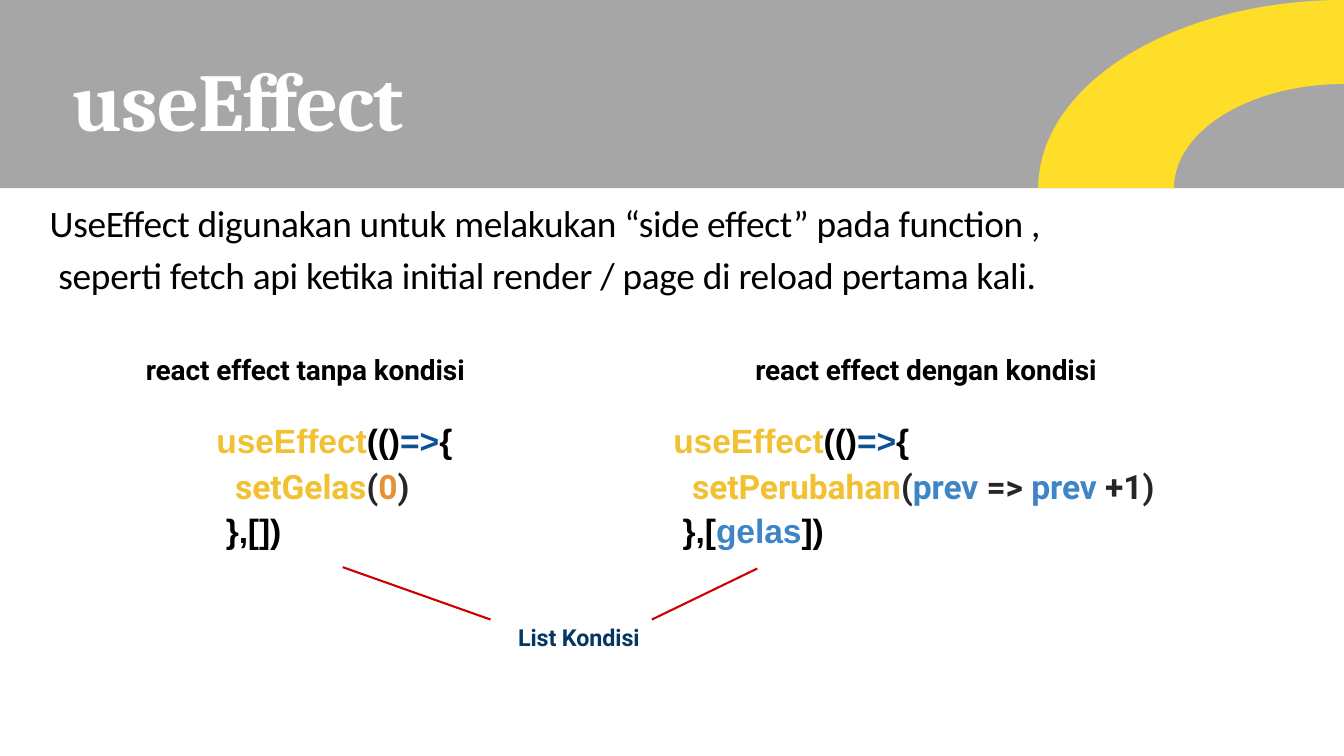
from dataclasses import dataclass
from math import cos, pi, sin

from pptx import Presentation
from pptx.dml.color import RGBColor
from pptx.enum.shapes import MSO_CONNECTOR, MSO_SHAPE
from pptx.enum.text import MSO_AUTO_SIZE
from pptx.oxml.ns import qn
from pptx.slide import Slide
from pptx.util import Inches, Pt

GRAY, YELLOW, RED = "A6A6A6", "FFDE2A", "CC0000"
WHITE, BLACK, NAVY = "FFFFFF", "000000", "063763"
GOLD, ARROW_BLUE, CHARCOAL = "F1C131", "0B5394", "262626"
ORANGE, SKY = "E69137", "3D85C6"


def color(value):
    return RGBColor.from_string(value)


def quarter_ellipse(center_x, center_y, radius_x, radius_y, steps=60):
    angles = [pi / 2 * step / steps for step in range(steps + 1)]
    return [
        (Inches(center_x - radius_x * cos(a)), Inches(center_y - radius_y * sin(a)))
        for a in angles
    ]


@dataclass
class Canvas:
    slide: Slide
    code_font: str = "Arial"
    label_font: str = "Roboto"
    code_size: float = 36
    line_width: float = 2.25

    def paint(self, shape, fill):
        shape.shadow.inherit = False
        shape.fill.solid()
        shape.fill.fore_color.rgb = color(fill)
        shape.line.fill.background()

    def band(self, left, top, width, height, fill):
        box = [Inches(v) for v in (left, top, width, height)]
        self.paint(self.slide.shapes.add_shape(MSO_SHAPE.RECTANGLE, *box), fill)

    def arch(self, center, outer, inner, fill):
        outline = quarter_ellipse(*center, *outer)
        outline += reversed(quarter_ellipse(*center, *inner))
        builder = self.slide.shapes.build_freeform(*outline[0], scale=1.0)
        builder.add_line_segments(outline[1:], close=True)
        self.paint(builder.convert_to_shape(), fill)

    def frame(self, left, top, width, height, inset_top=0.01):
        box = [Inches(v) for v in (left, top, width, height)]
        frame = self.slide.shapes.add_textbox(*box).text_frame
        settings = {
            "word_wrap": True,
            "auto_size": MSO_AUTO_SIZE.SHAPE_TO_FIT_TEXT,
            "margin_left": Inches(0.01),
            "margin_top": Inches(inset_top),
            "margin_right": 0,
            "margin_bottom": 0,
        }
        for name, value in settings.items():
            setattr(frame, name, value)
        return frame

    def run(self, paragraph, text, font, size, fill, bold=True, spacing=-0.1):
        run = paragraph.add_run()
        run.text = text
        for name, value in {"name": font, "size": Pt(size), "bold": bold}.items():
            setattr(run.font, name, value)
        run.font.color.rgb = color(fill)
        run.font._element.set("spc", str(round(spacing * 100)))

    def indent(self, paragraph, margin, first_line=0):
        properties = paragraph._p.get_or_add_pPr()
        properties.set("marL", str(Inches(margin)))
        properties.set("indent", str(Inches(first_line)))

    def text(self, box, text, font, size, fill, hanging=0, line_spacing=1.0, **look):
        paragraph = self.frame(*box).paragraphs[0]
        paragraph.space_before = Pt(1)
        paragraph.line_spacing = line_spacing
        self.indent(paragraph, hanging, -hanging)
        self.run(paragraph, text, font, size, fill, **look)

    def label(self, box, text, size=30, fill=BLACK):
        self.text(box, text, self.label_font, size, fill)

    def code(self, box, call, dependencies):
        frame = self.frame(*box, inset_top=0.09)
        opening = [("useEffect", GOLD), ("(()", BLACK), ("=>", ARROW_BLUE), ("{", BLACK)]
        lines = [
            (opening, self.code_font, 0, 6.6),
            (call, self.label_font, 0.28, 5.6),
            (dependencies, self.code_font, 0.14, 4),
        ]
        for number, (tokens, font, margin, before) in enumerate(lines):
            paragraph = frame.add_paragraph() if number else frame.paragraphs[0]
            paragraph.space_before = Pt(before)
            self.indent(paragraph, margin)
            for token, fill in tokens:
                self.run(paragraph, token, font, self.code_size, fill)

    def pointer(self, start, end, fill):
        ends = [Inches(v) for v in (*start, *end)]
        pointer = self.slide.shapes.add_connector(MSO_CONNECTOR.STRAIGHT, *ends)
        pointer.line.color.rgb = color(fill)
        pointer.line.width = Pt(self.line_width)
        properties = pointer._element.spPr
        properties.append(properties.makeelement(qn("a:effectLst"), {}))


def main():
    deck = Presentation()
    deck.slide_width, deck.slide_height = Inches(20), Inches(11.25)
    canvas = Canvas(deck.slides.add_slide(deck.slide_layouts[6]))

    canvas.band(0, 0, 20, 2.8, GRAY)
    canvas.arch((20, 2.8), (4.55, 2.8), (2.53, 1.55), YELLOW)
    canvas.text((1.07, 0.72, 5.75, 1.49), "useEffect", "Cambria", 88, WHITE, spacing=-1)
    canvas.text(
        (0.73, 2.87, 14.93, 1.56),
        "UseEffect digunakan untuk melakukan “side effect” pada function , "
        "seperti fetch api ketika initial render / page di reload pertama kali.",
        "Calibri", 40, BLACK, hanging=0.13, line_spacing=1.15, bold=False, spacing=-0.3,
    )

    canvas.label((2.16, 5.23, 5.05, 0.53), "react effect tanpa kondisi")
    canvas.label((11.23, 5.23, 5.34, 0.53), "react effect dengan kondisi")
    canvas.code(
        (3.21, 6.16, 3.55, 2.04),
        [("setGelas", GOLD), ("(", CHARCOAL), ("0", ORANGE), (")", CHARCOAL)],
        [("},[])", BLACK)],
    )
    canvas.code(
        (10.01, 6.16, 7.57, 2.04),
        [("setPerubahan", GOLD), ("(", CHARCOAL), ("prev ", SKY),
         ("=> ", CHARCOAL), ("prev ", SKY), ("+1)", CHARCOAL)],
        [("},[", BLACK), ("gelas", SKY), ("])", BLACK)],
    )

    canvas.label((7.7, 9.27, 1.87, 0.44), "List Kondisi", 25, NAVY)
    canvas.pointer((5.1, 8.44), (7.3, 9.22), RED)
    canvas.pointer((11.27, 8.46), (9.7, 9.22), RED)

    deck.save("out.pptx")


if __name__ == "__main__":
    main()
